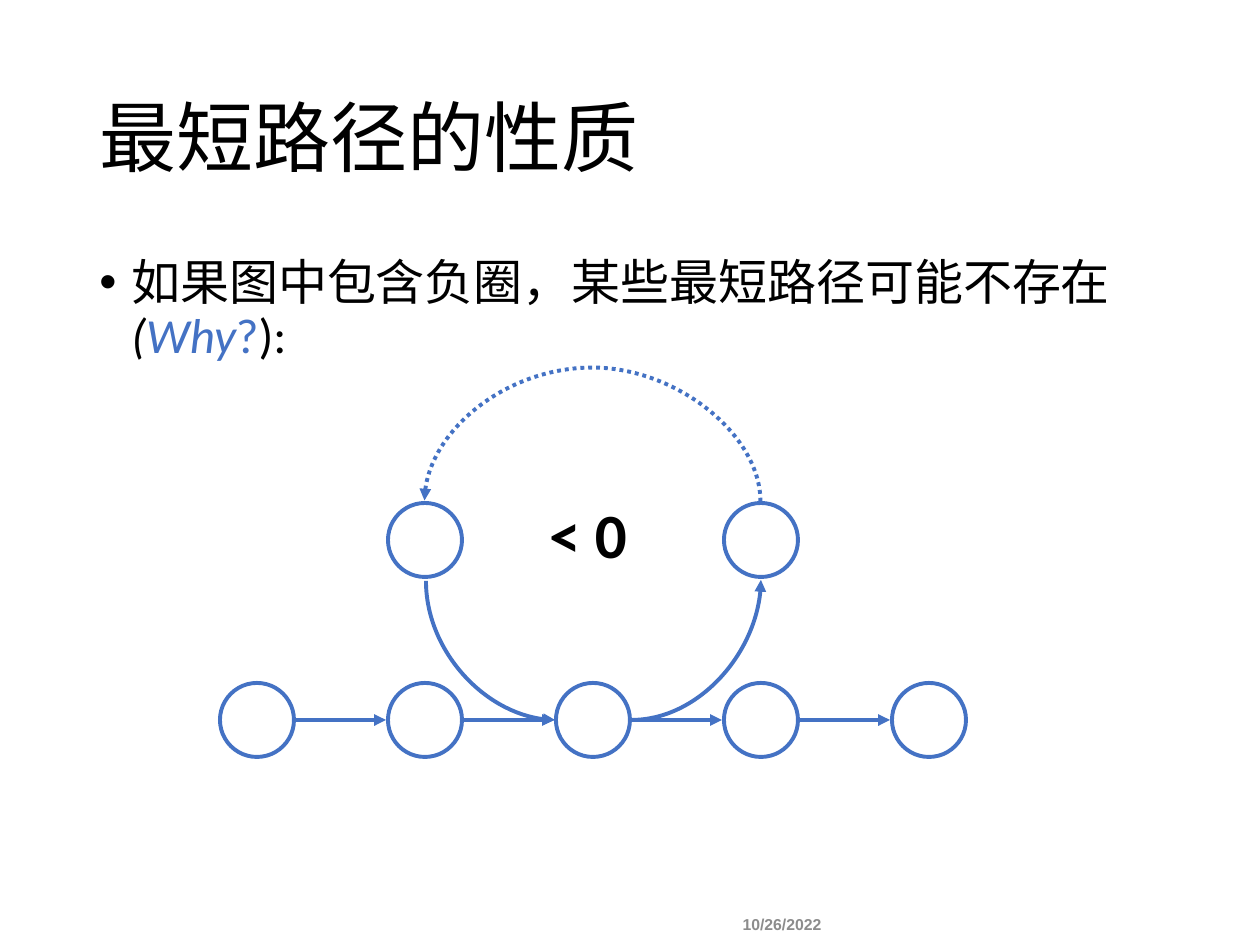
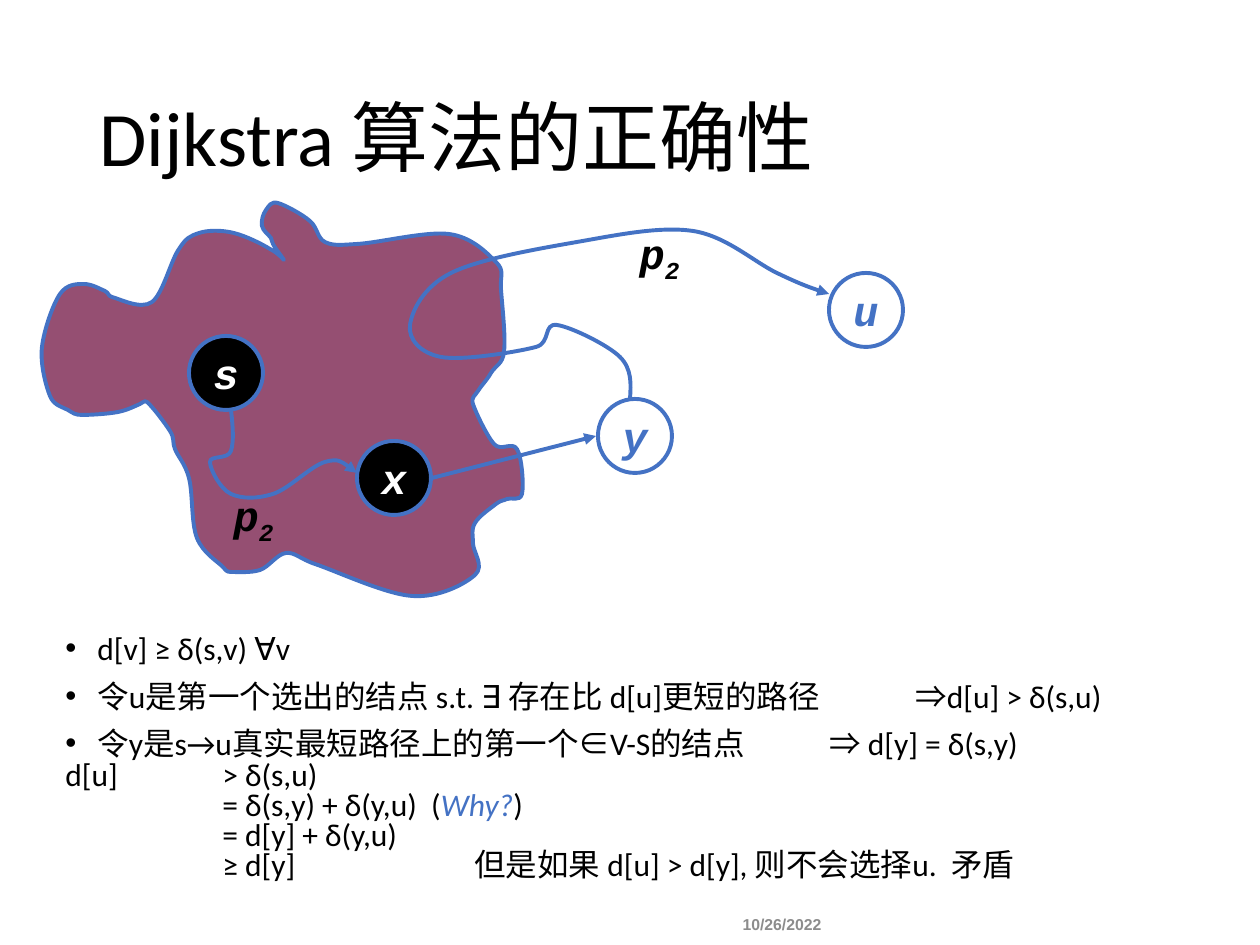
from math import hypot

from lxml import etree
from pptx import Presentation
from pptx.dml.color import RGBColor
from pptx.enum.dml import MSO_LINE
from pptx.enum.shapes import MSO_CONNECTOR, MSO_SHAPE
from pptx.enum.text import MSO_ANCHOR, PP_ALIGN
from pptx.oxml.ns import qn
from pptx.util import Pt

SCALE = 914400 / 126
STRAIGHT, CURVE = MSO_CONNECTOR.STRAIGHT, MSO_CONNECTOR.CURVE
ELLIPSE, DOTTED = MSO_SHAPE.OVAL, MSO_LINE.ROUND_DOT
TOP, MIDDLE = MSO_ANCHOR.TOP, MSO_ANCHOR.MIDDLE
LEFT, CENTER = PP_ALIGN.LEFT, PP_ALIGN.CENTER

COLORS = {"text": "000000", "accent": "4472C4", "paper": "FFFFFF",
          "region": "954F72", "date": "8C8C8C"}
TITLE_FONT = {"size": 44}
LABEL_FONT = {"name": "Courier New", "size": 24, "bold": True, "italic": True}
DATE_FONT = {"name": "Arial", "size": 9, "bold": True, "color": "date"}
WHY = {"color": "accent", "italic": True}

TITLE_BOX = (87, 50, 1086, 183)
DATE_BOX = (682, 903, 200, 42)
DATE = "10/26/2022"
LINE_WIDTH = 2.25
NODE = 74
GAP = 2
INDENT = 32

# Slide 1: a path that can loop through a negative cycle
CYCLE_TITLE = "最短路径的性质"
CYCLE_BOX = (87, 252, 1086, 600)
CYCLE_RUNS = [("如果图中包含负圈，某些最短路径可能不存在 ", {}), ("(", {"italic": True}),
              ("Why", WHY), ("?", {"color": "accent"}), ("):", {})]
PATH_LEFT, PATH_TOP, PATH_STEP, PATH_COUNT = 220, 683, 168, 5
CYCLE_TOP = 503
CYCLE_POSITIONS = (1, 3)
CYCLE_LABEL = ("< 0", (534, 489, 108, 88))

# Slide 2: nodes are (label, left, top, fill, text colour)
PROOF_TITLE = "Dijkstra 算法的正确性"
PROOF_BOX = (53, 630, 1155, 262)
PROOF_BULLETS = [
    ("d[v] ≥ δ(s,v) ∀v", []),
    ("令u是第一个选出的结点 s.t. ∃ 存在比 d[u]更短的路径\t⇒d[u] > δ(s,u)", [850]),
    ("令y是s→u真实最短路径上的第一个∈V-S的结点\t⇒ d[y] = δ(s,y)", [764]),
]
DERIVATION = [
    ("d[u]\t> δ(s,u)\v\t= δ(s,y) + δ(y,u)  (", {}), ("Why?", WHY),
    (")\v\t= d[y] + δ(y,u)\v\t≥ d[y]\t\t但是如果 d[u] > d[y], 则不会选择u.  矛盾", {}),
]
DERIVATION_TABS = [157, 283, 409]
PROOF_NODES = [("s", 189, 336, "text", "paper"), ("x", 357, 441, "text", "paper"),
               ("y", 598, 399, "paper", "accent"), ("u", 829, 273, "paper", "accent")]
PATH_LABELS = [(626, 221, 67, 63), (220, 483, 67, 63)]
X_TO_Y = ((432, 478), (596, 436))
S_TO_X = [(231, 410), (231, 451), (210, 462), (231, 494), (273, 494), (325, 462),
          (357, 473)]
Y_TO_U = [(630, 399), (620, 357), (557, 325), (536, 347), (441, 357), (410, 325),
          (451, 273), (577, 242), (693, 231), (777, 273), (829, 294)]
REGION = [
    (284, 260), (270, 249), (234, 233), (199, 233), (179, 249), (152, 302), (112, 297),
    (105, 291), (84, 284), (60, 294), (42, 347), (50, 396), (68, 410), (82, 415),
    (118, 412), (140, 404), (147, 402), (170, 431), (175, 449), (189, 478), (197, 538),
    (223, 567), (231, 572), (260, 570), (286, 553), (315, 564), (412, 596), (475, 575),
    (473, 543), (475, 523), (496, 504), (507, 499), (522, 494), (517, 449), (494, 444),
    (473, 404), (478, 391), (491, 373), (504, 352), (501, 289), (496, 262), (449, 234),
    (357, 244), (325, 242), (310, 221), (278, 203), (266, 210), (262, 226), (271, 238),
    (273, 244), (284, 260),
]


def emu(*lengths):
    return [round(length * SCALE) for length in lengths]


def rgb(name):
    return RGBColor.from_string(COLORS[name])


def add_run(paragraph, text, size, name="Calibri", color="text", bold=False, italic=False):
    run = paragraph.add_run()
    run.text = text
    font = run.font
    font.size, font.name, font.bold, font.italic = Pt(size), name, bold, italic
    font.color.rgb = rgb(color)
    return run


def add_box(slide, box, anchor=TOP, wrap=True):
    frame = slide.shapes.add_textbox(*emu(*box)).text_frame
    frame.word_wrap = wrap
    frame.vertical_anchor = anchor
    return frame


def add_text(slide, box, text, font, align=CENTER, anchor=MIDDLE, wrap=False):
    paragraph = add_box(slide, box, anchor, wrap).paragraphs[0]
    paragraph.alignment = align
    add_run(paragraph, text, **font)
    return paragraph


def format_paragraph(paragraph, spacing, before=0, bullet=True, tabs=()):
    paragraph.line_spacing = spacing
    paragraph.space_before = Pt(before)
    properties = paragraph._p.get_or_add_pPr()
    if bullet:
        indent = emu(INDENT)[0]
        properties.set("marL", str(indent))
        properties.set("indent", str(-indent))
        etree.SubElement(properties, qn("a:buFont"), typeface="Arial")
        etree.SubElement(properties, qn("a:buChar"), char="•")
    if tabs:
        tab_list = etree.SubElement(properties, qn("a:tabLst"))
        for position in emu(*tabs):
            etree.SubElement(tab_list, qn("a:tab"), pos=str(position), algn="l")


def style_line(line):
    line.color.rgb = rgb("accent")
    line.width = Pt(LINE_WIDTH)


def add_arrowhead(line, end="tailEnd"):
    etree.SubElement(line._get_or_add_ln(), qn(f"a:{end}"), type="triangle")


def add_arrow(slide, start, stop, kind=STRAIGHT, end="tailEnd", dash=None):
    connector = slide.shapes.add_connector(kind, *emu(*start, *stop))
    style_line(connector.line)
    if dash:
        connector.line.dash_style = dash
    add_arrowhead(connector.line, end)
    etree.SubElement(connector._element.spPr, qn("a:effectLst"))
    return connector


def bend(connector, preset, rotation=0, reach=None):
    """Choose the curve preset, its turn in degrees and its reach in widths."""
    properties = connector._element.spPr
    properties.find(qn("a:xfrm")).set("rot", str(rotation * 60000))
    geometry = properties.find(qn("a:prstGeom"))
    geometry.set("prst", preset)
    if reach is not None:
        adjustments = geometry.find(qn("a:avLst"))
        etree.SubElement(adjustments, qn("a:gd"), name="adj1", fmla=f"val {reach * 100000}")


def add_node(slide, left, top, fill="paper", label="", color="accent"):
    node = slide.shapes.add_shape(ELLIPSE, *emu(left, top, NODE, NODE))
    node.shadow.inherit = False
    node.fill.solid()
    node.fill.fore_color.rgb = rgb(fill)
    style_line(node.line)
    if label:
        frame = node.text_frame
        frame.word_wrap = False
        frame.vertical_anchor = MIDDLE
        frame.paragraphs[0].alignment = CENTER
        add_run(frame.paragraphs[0], label, color=color, **LABEL_FONT)


def spline_controls(points):
    """Return three Bezier points for each step of a smooth curve through points."""
    def handle(index, neighbour):
        (x, y), (next_x, next_y) = points[index], points[neighbour]
        if index in (0, len(points) - 1):
            far_x, far_y = handle(neighbour, index)
            return (x + far_x) / 2, (y + far_y) / 2
        other_x, other_y = points[2 * index - neighbour]
        dx, dy = next_x - other_x, next_y - other_y
        limit = hypot(next_x - x, next_y - y) / 2
        factor = min(1 / 6, limit / (hypot(dx, dy) or 1))
        return x + dx * factor, y + dy * factor

    return [point for i in range(len(points) - 1)
            for point in (handle(i, i + 1), handle(i + 1, i), points[i + 1])]


def add_curve(slide, points, fill=None):
    builder = slide.shapes.build_freeform(*points[0], scale=SCALE)
    builder.add_line_segments(spline_controls(points), close=bool(fill))
    curve = builder.convert_to_shape()
    curve.shadow.inherit = False
    style_line(curve.line)
    if fill:
        curve.fill.solid()
        curve.fill.fore_color.rgb = rgb(fill)
    else:
        curve.fill.background()
        add_arrowhead(curve.line)
    segments = list(curve._element.iter(qn("a:lnTo")))
    for i in range(0, len(segments) - 2, 3):
        bezier = etree.Element(qn("a:cubicBezTo"))
        segments[i].addprevious(bezier)
        for segment in segments[i:i + 3]:
            bezier.append(segment[0])
            segment.getparent().remove(segment)


def add_slide(presentation, title):
    slide = presentation.slides.add_slide(presentation.slide_layouts[6])
    heading = add_text(slide, TITLE_BOX, title, TITLE_FONT, align=LEFT, wrap=True)
    heading.line_spacing = 0.9
    add_text(slide, DATE_BOX, DATE, DATE_FONT)
    return slide


def build_cycle_slide(presentation):
    slide = add_slide(presentation, CYCLE_TITLE)
    paragraph = add_box(slide, CYCLE_BOX).paragraphs[0]
    format_paragraph(paragraph, 0.9)
    for text, style in CYCLE_RUNS:
        add_run(paragraph, text, 28, **style)

    lefts = [PATH_LEFT + i * PATH_STEP for i in range(PATH_COUNT)]
    middle = PATH_TOP + NODE // 2
    for left in lefts:
        add_node(slide, left, PATH_TOP)
    for left, following in zip(lefts, lefts[1:]):
        add_arrow(slide, (left + NODE + GAP, middle), (following - GAP, middle))
    for position in CYCLE_POSITIONS:
        add_node(slide, lefts[position], CYCLE_TOP)

    bend(add_arrow(slide, (632, 720), (761, 580), CURVE), "curvedConnector2")
    bend(add_arrow(slide, (560, 586), (421, 715), CURVE), "curvedConnector2", 270)
    back = add_arrow(slide, (592, 669), (593, 333), CURVE, "headEnd", DOTTED)
    bend(back, "curvedConnector3", 90, -134)
    text, box = CYCLE_LABEL
    add_text(slide, box, text, {"size": 36, "bold": True}, anchor=TOP)


def build_proof_slide(presentation):
    slide = add_slide(presentation, PROOF_TITLE)
    frame = add_box(slide, PROOF_BOX)
    for i, (text, tabs) in enumerate(PROOF_BULLETS):
        paragraph = frame.add_paragraph() if i else frame.paragraphs[0]
        format_paragraph(paragraph, 0.8, before=10 if i else 0, tabs=tabs)
        add_run(paragraph, text, 18)
    paragraph = frame.add_paragraph()
    format_paragraph(paragraph, 0.8, bullet=False, tabs=DERIVATION_TABS)
    for text, style in DERIVATION:
        for i, line in enumerate(text.split("\v")):
            if i:
                paragraph.add_line_break()
            add_run(paragraph, line, 18, **style)

    add_curve(slide, REGION, "region")
    for label, left, top, fill, color in PROOF_NODES:
        add_node(slide, left, top, fill, label, color)
    add_curve(slide, S_TO_X)
    add_arrow(slide, *X_TO_Y)
    add_curve(slide, Y_TO_U)
    for box in PATH_LABELS:
        paragraph = add_text(slide, box, "p", LABEL_FONT, anchor=TOP)
        subscript = add_run(paragraph, "2", **LABEL_FONT)
        subscript.font._element.set("baseline", "-25000")


def main():
    presentation = Presentation()
    presentation.slide_width, presentation.slide_height = emu(1260, 945)
    build_cycle_slide(presentation)
    build_proof_slide(presentation)
    presentation.save("out.pptx")


if __name__ == "__main__":
    main()
